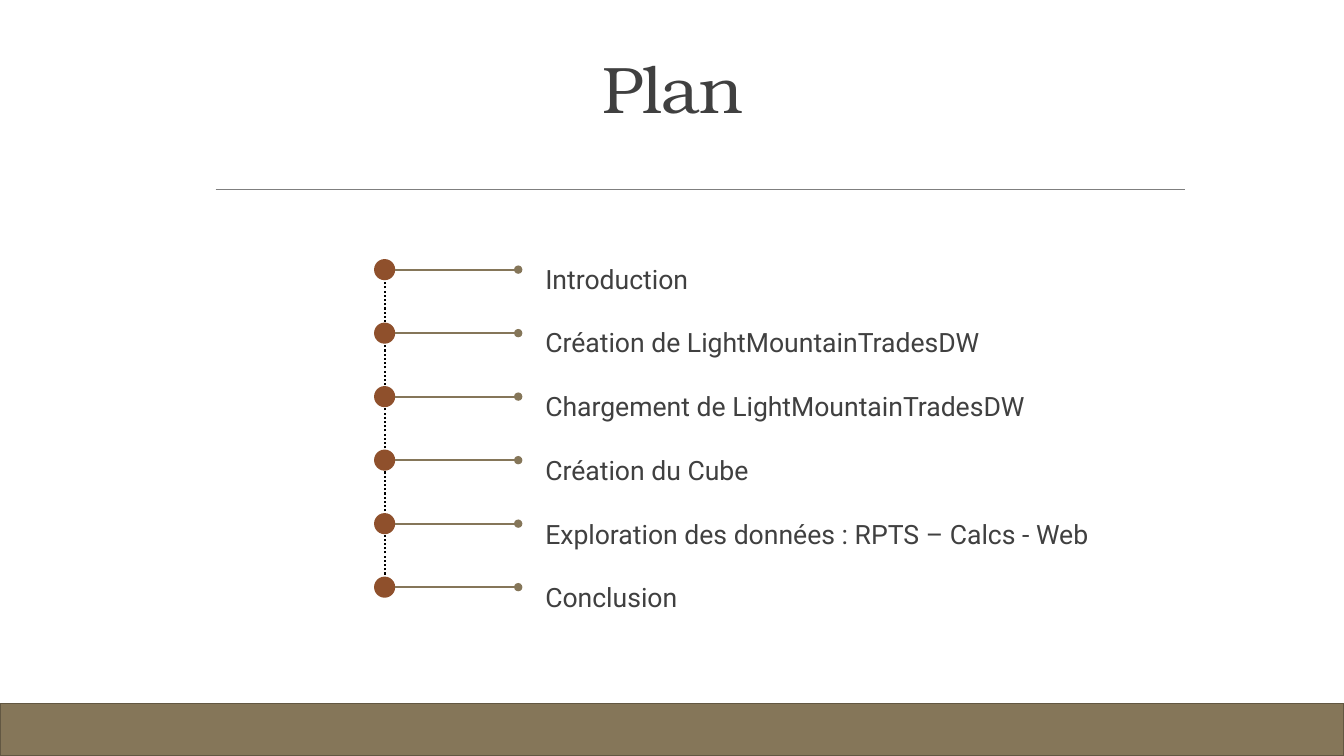
from pptx import Presentation
from pptx.dml.color import RGBColor
from pptx.enum.dml import MSO_LINE
from pptx.enum.shapes import MSO_CONNECTOR, MSO_SHAPE
from pptx.enum.text import MSO_ANCHOR, PP_ALIGN
from pptx.oxml.ns import qn
from pptx.util import Inches, Pt
from lxml.etree import SubElement

SLIDE_WIDTH, SLIDE_HEIGHT = 13.33, 7.5
OLIVE, RUST, INK = "857659", "8F502C", "404040"
TOPICS = [
    "Introduction",
    "Création de LightMountainTradesDW",
    "Chargement de LightMountainTradesDW",
    "Création du Cube",
    "Exploration des données : RPTS – Calcs - Web",
    "Conclusion",
]
ROW = 0.63        # distance between two dots
DOT = 0.21        # dot diameter
LABEL_ROW = 45.5  # distance between two labels, in points


def color(value):
    return RGBColor.from_string(value)


def add_line(slide, start, end, stroke, width, dash=None, oval_end=False):
    line = slide.shapes.add_connector(
        MSO_CONNECTOR.STRAIGHT, *(Inches(n) for n in (*start, *end)))
    line.line.color.rgb = color(stroke)
    line.line.width = Pt(width)
    if dash:
        line.line.dash_style = dash
    properties = line._element.spPr
    if oval_end:
        SubElement(properties.find(qn("a:ln")), qn("a:tailEnd"), type="oval")
    SubElement(properties, qn("a:effectLst"))


def add_solid(slide, kind, box, fill, outline=None):
    shape = slide.shapes.add_shape(kind, *(Inches(n) for n in box))
    shape.shadow.inherit = False
    shape.fill.solid()
    shape.fill.fore_color.rgb = color(fill)
    if outline:
        shape.line.color.rgb = color(outline)
        shape.line.width = Pt(1.25)
    else:
        shape.line.fill.background()


def add_text(slide, box, lines, font, size, anchor, align, spacing, inset):
    frame = slide.shapes.add_textbox(*(Inches(n) for n in box)).text_frame
    frame.word_wrap = True
    frame.vertical_anchor = anchor
    frame.margin_left = frame.margin_right = Inches(0.1)
    frame.margin_top = frame.margin_bottom = Inches(inset)
    runs = []
    for index, text in enumerate(lines):
        paragraph = frame.paragraphs[0] if index == 0 else frame.add_paragraph()
        paragraph.alignment = align
        paragraph.line_spacing = spacing
        run = paragraph.add_run()
        run.text = text
        run.font.name = font
        run.font.size = Pt(size)
        run.font.color.rgb = color(INK)
        runs.append(run)
    return runs


def add_header(slide, left, top, width, height):
    title, = add_text(slide, (left, top, width, 0.7 * height), ["Plan"],
                      "TeX Gyre Bonum", 47, MSO_ANCHOR.BOTTOM,
                      PP_ALIGN.CENTER, 0.9, 0.05)
    title.font._element.set("spc", "-50")
    rule_y = top + height
    add_line(slide, (left + 0.97, rule_y), (left + 10.58, rule_y), "7F7F7F", 1)


def add_timeline(slide, left, top, width):
    axis = left + DOT / 2
    centers = [top + DOT / 2 + row * ROW for row in range(len(TOPICS))]
    # Dotted spine behind the dots
    add_line(slide, (axis, centers[-1]), (axis, centers[0]),
             "000000", 1.5, dash=MSO_LINE.ROUND_DOT)
    # Dot and pointer of each topic
    for center in centers:
        add_solid(slide, MSO_SHAPE.OVAL,
                  (left, center - DOT / 2, DOT, DOT), RUST)
        add_line(slide, (left + DOT, center), (left + 1.43, center),
                 OLIVE, 1.5, oval_end=True)
    # Labels
    add_text(slide, (left + 1.6, top - 0.38, width - 1.6, len(TOPICS) * ROW + 0.2),
             TOPICS, "Roboto", 19, MSO_ANCHOR.TOP, PP_ALIGN.LEFT,
             Pt(LABEL_ROW), 0.1)


def add_footer(slide, height):
    add_solid(slide, MSO_SHAPE.RECTANGLE,
              (0, SLIDE_HEIGHT - height, SLIDE_WIDTH, height), OLIVE, "625742")


def main():
    presentation = Presentation()
    presentation.slide_width = Inches(SLIDE_WIDTH)
    presentation.slide_height = Inches(SLIDE_HEIGHT)
    slide = presentation.slides.add_slide(presentation.slide_layouts[6])
    add_footer(slide, 0.52)
    add_header(slide, 1.17, 0, 11, 1.88)
    add_timeline(slide, 3.71, 2.57, 7.39)
    presentation.save("out.pptx")


if __name__ == "__main__":
    main()
